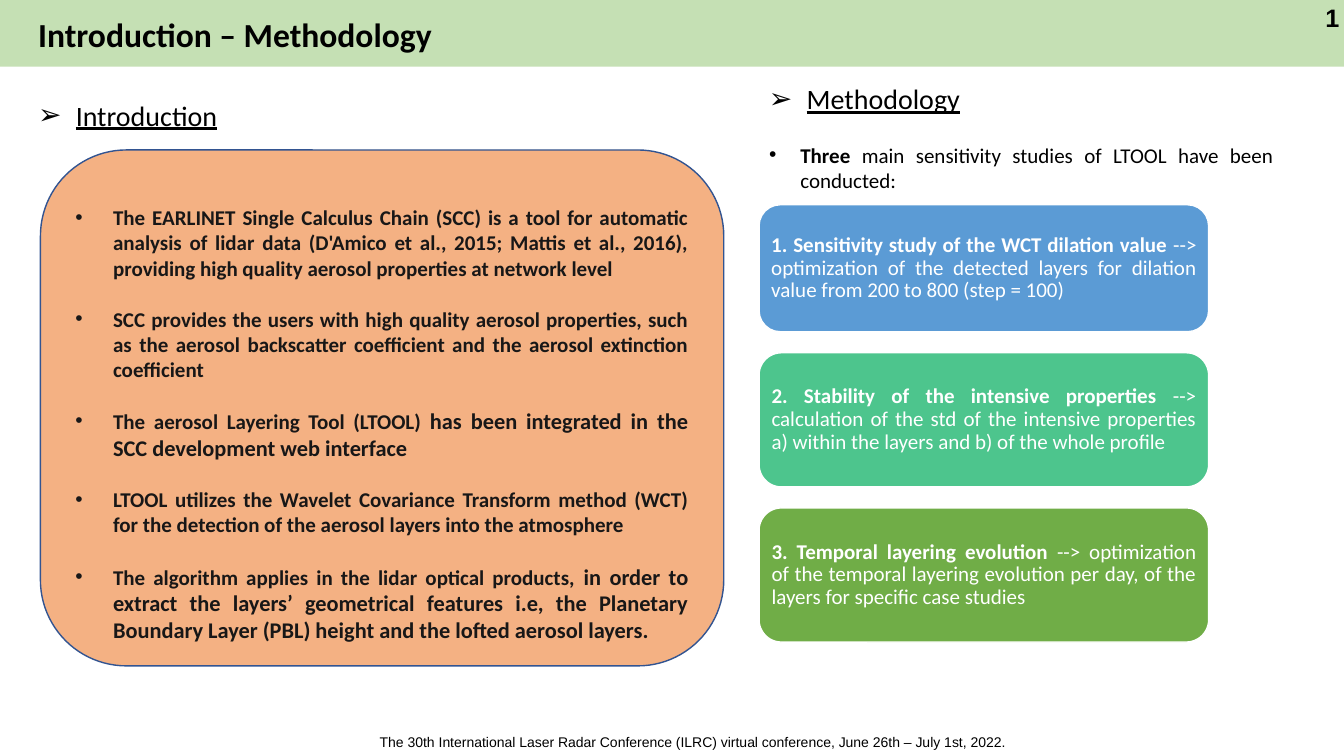
"""Build the lidar introduction and methodology slide."""
from lxml import etree
from pptx import Presentation
from pptx import util as u
from pptx.dml.color import RGBColor
from pptx.enum import shapes, text
from pptx.oxml.ns import qn

BLACK = RGBColor(0x00, 0x00, 0x00)
WHITE = RGBColor(0xFF, 0xFF, 0xFF)
INK = RGBColor(0x18, 0x17, 0x17)
BAND = RGBColor(0xC5, 0xE0, 0xB4)
PEACH = RGBColor(0xF4, 0xB1, 0x83)
NAVY = RGBColor(0x32, 0x54, 0x91)
BLUE = RGBColor(0x5B, 0x9B, 0xD5)
TEAL = RGBColor(0x4D, 0xC5, 0x8D)
GREEN = RGBColor(0x70, 0xAD, 0x47)

INTRODUCTION = [
    [("The EARLINET Single Calculus Chain (SCC) is a tool for automatic analysis of "
      "lidar data (D'Amico et al., 2015; Mattis et al., 2016), providing high quality "
      "aerosol properties at network level", 15, True)],
    [("SCC provides the users with high quality aerosol properties, such as the aerosol "
      "backscatter coefficient and the aerosol extinction coefficient", 15, True)],
    [("The aerosol Layering Tool (LTOOL) ", 15, True),
     ("has been integrated in the SCC development web interface", 16, True)],
    [("LTOOL utilizes the Wavelet Covariance Transform method (WCT) for the detection "
      "of the aerosol layers into the atmosphere", 15, True)],
    [("The algorithm applies in the lidar optical products,", 15, True),
     (" in order to extract the layers’ geometrical features i.e, the Planetary "
      "Boundary Layer (PBL) height and the lofted aerosol layers.", 16, True)],
]
STUDIES = [
    (5.16, 3.2, BLUE, "1. Sensitivity study of the WCT dilation value ",
     "--> optimization of the detected layers for dilation value from 200 to 800 "
     "(step = 100)"),
    (8.89, 3.38, TEAL, "2. Stability of the intensive properties ",
     "--> calculation of the std of the intensive properties a) within the layers "
     "and b) of the whole profile"),
    (12.8, 3.38, GREEN, "3. Temporal layering evolution ",
     "--> optimization of the temporal layering evolution per day, of the layers "
     "for specific case studies"),
]
JUSTIFY = text.PP_ALIGN.JUSTIFY
LEFT = text.PP_ALIGN.LEFT
TOP = text.MSO_ANCHOR.TOP
MIDDLE = text.MSO_ANCHOR.MIDDLE


class LidarSlide:
    """Holds the text style and draws elements on the current slide."""

    def __init__(self, slide, font):
        self.slide = slide
        self.font = font

    def set_text(self, box, paragraphs, color=BLACK, font=None, align=JUSTIFY, anchor=TOP,
                 spacing=1.0, gap=0, bullet=None, indent=0, underline=False, inset=0.25):
        frame = box.text_frame
        frame.word_wrap = True
        frame.auto_size = text.MSO_AUTO_SIZE.NONE
        frame.vertical_anchor = anchor
        frame.margin_left = frame.margin_right = u.Cm(inset)
        frame.margin_top = frame.margin_bottom = u.Cm(min(inset, 0.13))
        for number, runs in enumerate(paragraphs):
            para = frame.add_paragraph() if number else frame.paragraphs[0]
            para.alignment = align
            para.line_spacing = spacing
            para.space_before = u.Pt(gap if number else 0)
            para.space_after = u.Pt(0)
            if bullet:
                self.add_bullet(para, bullet, indent)
            for words, size, bold in runs:
                span = para.add_run()
                span.text = words
                span.font.name = font or self.font
                span.font.size = u.Pt(size)
                span.font.bold = bold
                span.font.underline = underline
                span.font.color.rgb = color

    def add_bullet(self, para, mark, indent):
        props = para._p.get_or_add_pPr()
        props.set("marL", str(u.Cm(indent)))
        props.set("indent", str(-u.Cm(indent)))
        etree.SubElement(props, qn("a:buFont")).set("typeface", "Arial")
        etree.SubElement(props, qn("a:buChar")).set("char", mark)

    def add_panel(self, kind, area, fill, line=None):
        panel = self.slide.shapes.add_shape(kind, *map(u.Cm, area))
        panel.shadow.inherit = False
        panel.fill.solid()
        panel.fill.fore_color.rgb = fill
        if line is None:
            panel.line.fill.background()
        else:
            panel.line.color.rgb = line
            panel.line.width = u.Pt(1)
        return panel

    def add_text(self, area, paragraphs, **style):
        box = self.slide.shapes.add_textbox(*map(u.Cm, area))
        self.set_text(box, paragraphs, **style)

    def fill_placeholder(self, index, area, paragraphs, **style):
        box = self.slide.placeholders[index]
        box.left, box.top, box.width, box.height = map(u.Cm, area)
        self.slide.shapes._spTree.append(box._element)
        self.set_text(box, paragraphs, **style)


def main():
    deck = Presentation()
    deck.slide_width, deck.slide_height = u.Cm(33.87), u.Cm(19.05)
    page = LidarSlide(deck.slides.add_slide(deck.slide_layouts[3]), "Calibri")
    rounded = shapes.MSO_SHAPE.ROUNDED_RECTANGLE

    page.add_panel(shapes.MSO_SHAPE.RECTANGLE, (0, 0, 33.87, 1.68), BAND)
    page.fill_placeholder(0, (0.71, 0.18, 29.21, 1.5),
                          [[("Introduction – Methodology", 24, True)]],
                          anchor=MIDDLE, spacing=0.9)
    page.add_text((33.4, 0.05, 0.46, 1.02), [[("1", 18, True)]],
                  font="Arial", align=LEFT, inset=0)
    page.add_text((9.32, 18.36, 19.76, 0.69),
                  [[("The 30th International Laser Radar Conference (ILRC) virtual "
                     "conference, June 26th – July 1st, 2022.", 10, False)]],
                  font="Arial", align=LEFT)

    for left, top, heading in ((0.71, 2.34, "Introduction"), (19.13, 1.93, "Methodology")):
        page.add_text((left, top, 7.5, 1.12), [[(heading, 20, False)]],
                      bullet="➢", indent=0.95, underline=True)

    page.add_panel(rounded, (1.02, 3.78, 17.22, 13), PEACH, NAVY)
    page.fill_placeholder(1, (1.65, 5.03, 15.95, 11.5), INTRODUCTION,
                          color=INK, gap=18.3, bullet="•", indent=0.95)
    page.fill_placeholder(2, (19.13, 3.45, 13.21, 1.55),
                          [[("Three", 15, True),
                            (" main sensitivity studies of LTOOL have been conducted:",
                             15, False)]],
                          bullet="•", indent=0.79)

    for top, height, fill, name, detail in STUDIES:
        card = page.add_panel(rounded, (19.13, top, 11.33, height), fill, WHITE)
        page.set_text(card, [[(name, 15, True), (detail, 15, False)]],
                      color=WHITE, anchor=MIDDLE, spacing=0.9, inset=0.15)

    deck.save("out.pptx")


if __name__ == "__main__":
    main()
